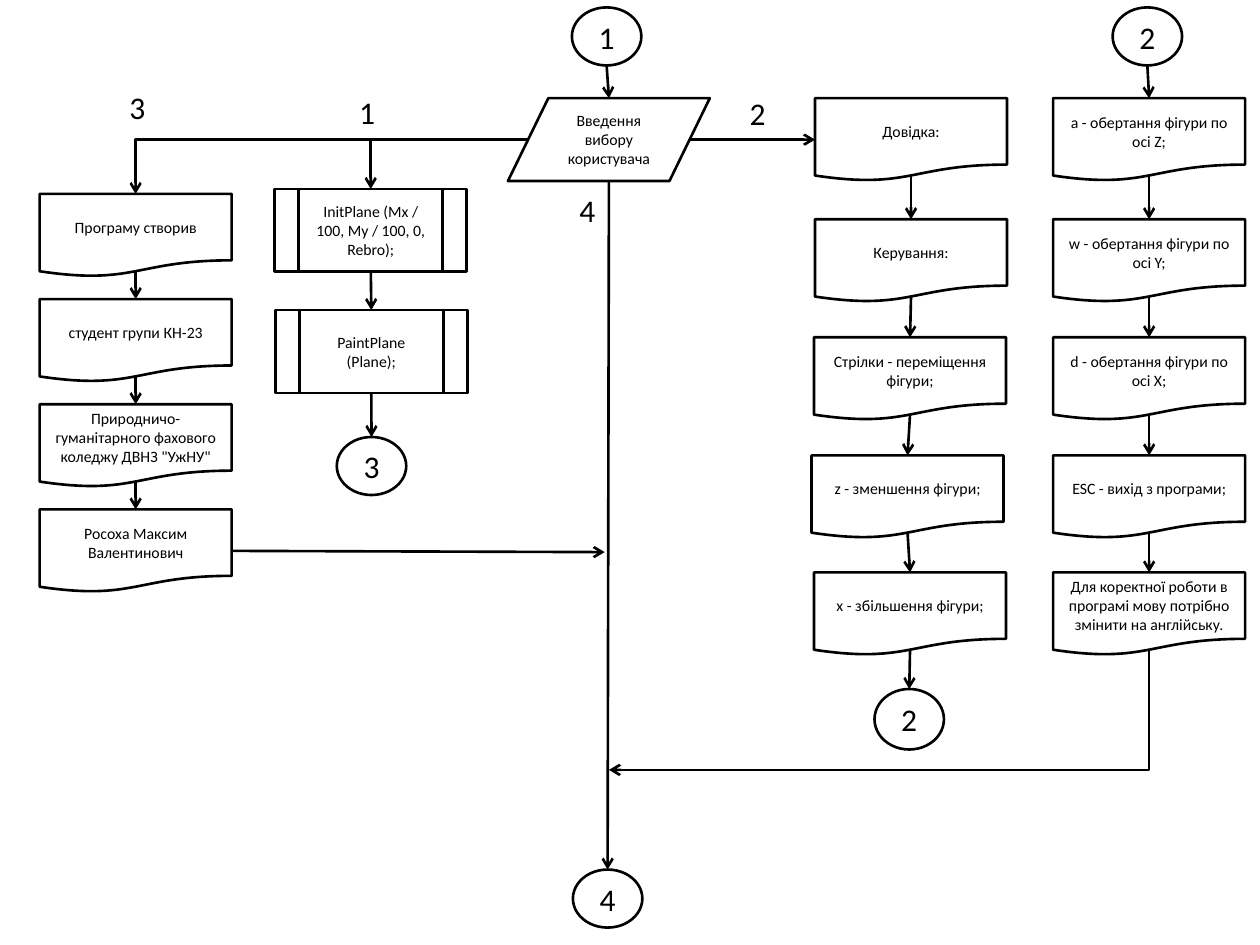
from dataclasses import dataclass
from itertools import pairwise

from lxml import etree
from pptx import Presentation
from pptx import util as u
from pptx.dml.color import RGBColor
from pptx.enum import shapes, text
from pptx.oxml import ns
from pptx.shapes.autoshape import Shape
from pptx.shapes.connector import Connector

BLACK = RGBColor(0, 0, 0)
FONT = "Calibri"
LINE_WIDTH = u.Pt(1.5)
DOCUMENT = shapes.MSO_SHAPE.FLOWCHART_DOCUMENT
PROCESS = shapes.MSO_SHAPE.FLOWCHART_PREDEFINED_PROCESS
INPUT = shapes.MSO_SHAPE.FLOWCHART_DATA
CIRCLE = shapes.MSO_SHAPE.FLOWCHART_CONNECTOR
TOP, LEFT, BOTTOM, RIGHT = range(4)
DOCUMENT_EDGE = 0.93  # the wavy edge crosses the middle at this share of the height

presentation = Presentation()
presentation.slide_width = u.Cm(25.4)
presentation.slide_height = u.Cm(19.05)
slide = presentation.slides.add_slide(presentation.slide_layouts[6])


@dataclass
class Node:
    kind: shapes.MSO_SHAPE
    caption: str
    left: float
    top: float
    width: float = 3.87
    height: float = 1.67
    size: int = 9


def circle(caption: str, left: float, top: float, height: float = 1.17) -> Node:
    return Node(CIRCLE, caption, left, top, 1.4, height, 18)


def write(shape: Shape, caption: str, size: int, alignment: text.PP_ALIGN) -> None:
    shape.text_frame.text = caption
    shape.text_frame.word_wrap = True
    paragraph = shape.text_frame.paragraphs[0]
    paragraph.alignment = alignment
    font = paragraph.runs[0].font
    font.name, font.size = FONT, u.Pt(size)
    font.color.rgb = BLACK


def draw(node: Node) -> Shape:
    shape = slide.shapes.add_shape(
        node.kind, u.Cm(node.left), u.Cm(node.top), u.Cm(node.width), u.Cm(node.height))
    shape.shadow.inherit = False
    shape.fill.background()
    shape.line.color.rgb = BLACK
    shape.line.width = LINE_WIDTH
    write(shape, node.caption, node.size, text.PP_ALIGN.CENTER)
    shape.text_frame.vertical_anchor = text.MSO_ANCHOR.MIDDLE
    return shape


def label(caption: str, left: float, top: float, width: float) -> None:
    box = slide.shapes.add_textbox(u.Cm(left), u.Cm(top), u.Cm(width), u.Cm(1.03))
    write(box, caption, 18, text.PP_ALIGN.LEFT)
    box.text_frame.auto_size = text.MSO_AUTO_SIZE.SHAPE_TO_FIT_TEXT


def arrow(x1: int, y1: int, x2: int, y2: int) -> Connector:
    connector = slide.shapes.add_connector(shapes.MSO_CONNECTOR.STRAIGHT, x1, y1, x2, y2)
    connector.line.color.rgb = BLACK
    connector.line.width = LINE_WIDTH
    line = connector.line._get_or_add_ln()
    etree.SubElement(line, ns.qn("a:tailEnd"), type="arrow")
    etree.SubElement(connector._element.spPr, ns.qn("a:effectLst"))
    return connector


def bend(connector: Connector, rotation: int = 0) -> None:
    """Give a connector one right-angled corner."""
    properties = connector._element.spPr
    properties.find(ns.qn("a:prstGeom")).set("prst", "bentConnector2")
    if rotation:
        properties.find(ns.qn("a:xfrm")).set("rot", str(rotation * 60000))


def middle_x(shape: Shape) -> int:
    return shape.left + shape.width // 2


def middle_y(shape: Shape) -> int:
    return shape.top + shape.height // 2


def lower_edge(shape: Shape) -> int:
    share = DOCUMENT_EDGE if shape.auto_shape_type == DOCUMENT else 1
    return shape.top + int(shape.height * share)


def link_down(upper: Shape, lower: Shape) -> None:
    connector = arrow(middle_x(upper), lower_edge(upper), middle_x(lower), lower.top)
    if upper.auto_shape_type == PROCESS:
        connector.begin_connect(upper, BOTTOM)
    if lower.auto_shape_type != INPUT:
        connector.end_connect(lower, TOP)


def draw_chain(nodes: list[Node]) -> list[Shape]:
    chain = [draw(node) for node in nodes]
    for upper, lower in pairwise(chain):
        link_down(upper, lower)
    return chain


# Columns of the flowchart
ROWS = [1.98, 4.42, 6.8, 9.18, 11.54]
HELP = [("Довідка:", 16.43), ("Керування:", 16.43),
        ("Стрілки - переміщення фігури;", 16.41),
        ("z - зменшення фігури;", 16.36), ("x - збільшення фігури;", 16.41)]
KEYS = ["a - обертання фігури по осі Z;", "w - обертання фігури по осі Y;",
        "d - обертання фігури по осі X;", "ESC - вихід з програми;",
        "Для коректної роботи в програмі мову потрібно змінити на англійську."]
AUTHOR = ["Програму створив", "студент групи КН-23",
          'Природничо-гуманітарного фахового коледжу ДВНЗ "УжНУ"',
          "Росоха Максим Валентинович"]

start, choice = draw_chain([
    circle("1", 11.53, 0.15),
    Node(INPUT, "Введення вибору користувача", 10.24, 1.98, 4.07)])
plane = draw_chain([
    Node(PROCESS, "InitPlane (Mx / 100, My / 100, 0, Rebro);", 5.54, 3.81),
    Node(PROCESS, "PaintPlane (Plane);", 5.55, 6.25),
    circle("3", 6.79, 8.81)])
help_column = draw_chain(
    [Node(DOCUMENT, caption, left, top) for (caption, left), top in zip(HELP, ROWS)]
    + [circle("2", 17.63, 13.89, 1.22)])
keys = draw_chain(
    [circle("2", 22.43, 0.15)]
    + [Node(DOCUMENT, caption, 21.23, top) for caption, top in zip(KEYS, ROWS)])
author = draw_chain([Node(DOCUMENT, caption, 0.8, 3.91 + 2.12 * row)
                     for row, caption in enumerate(AUTHOR)])
finish = draw(circle("4", 11.55, 17.53))

# Main trunk and the branches that leave the choice
trunk_x = middle_x(choice)
arrow(trunk_x, lower_edge(choice), middle_x(finish), finish.top).end_connect(finish, TOP)
slant = choice.width // 10
arrow(choice.left + choice.width - slant, middle_y(choice), help_column[0].left,
      middle_y(help_column[0])).end_connect(help_column[0], LEFT)
for target in (plane[0], author[0]):
    bend(arrow(choice.left + slant, middle_y(choice), middle_x(target), target.top))

# Branches that return to the trunk
arrow(author[-1].left + author[-1].width, middle_y(author[-1]),
      u.Cm(12.19), u.Cm(11.13)).begin_connect(author[-1], RIGHT)
right_x, return_top, return_y = middle_x(keys[-1]), lower_edge(keys[-1]), u.Cm(15.52)
center_x, center_y = (trunk_x + right_x) // 2, (return_top + return_y) // 2
half_run, half_drop = (right_x - trunk_x) // 2, (return_y - return_top) // 2
bend(arrow(center_x - half_drop, center_y - half_run,
           center_x + half_drop, center_y + half_run), rotation=90)

# Branch numbers
label("4", 11.43, 3.73, 0.97)
label("1", 6.99, 1.75, 0.97)
label("2", 14.86, 1.78, 0.81)
label("3", 2.36, 1.65, 0.81)

presentation.save("out.pptx")
